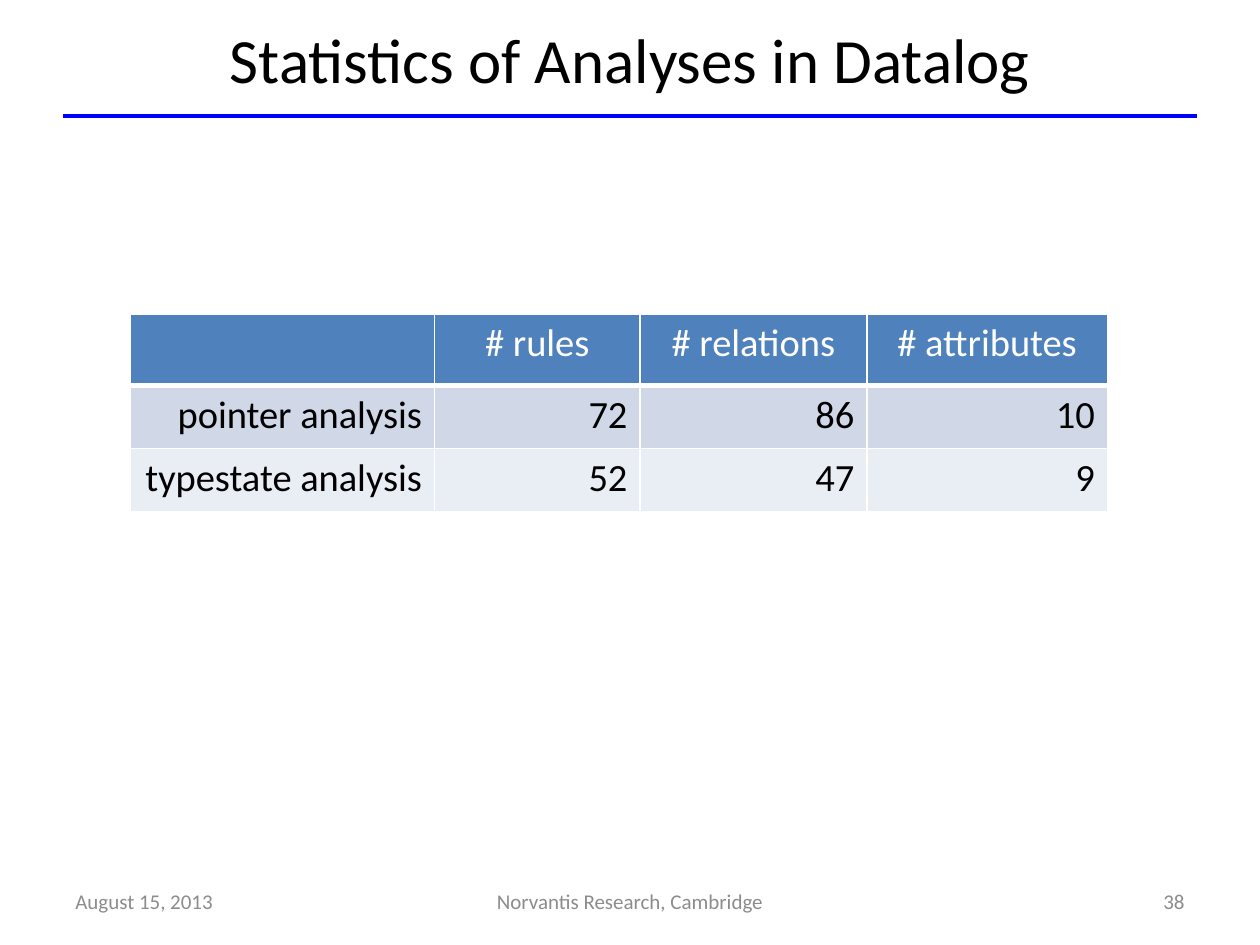
from lxml import etree
from pptx import Presentation
from pptx.dml.color import RGBColor
from pptx.enum.shapes import MSO_CONNECTOR
from pptx.enum.text import MSO_ANCHOR, PP_ALIGN
from pptx.oxml.ns import qn
from pptx.util import Inches, Pt

LEFT, CENTER, RIGHT = PP_ALIGN.LEFT, PP_ALIGN.CENTER, PP_ALIGN.RIGHT
MIDDLE = MSO_ANCHOR.MIDDLE
STRAIGHT = MSO_CONNECTOR.STRAIGHT

BLACK = RGBColor(0x00, 0x00, 0x00)
WHITE = RGBColor(0xFF, 0xFF, 0xFF)
GRAY = RGBColor(0x8C, 0x8C, 0x8C)
RULE_BLUE = RGBColor(0x00, 0x00, 0xFF)
HEADER_BLUE = RGBColor(0x4F, 0x81, 0xBD)
BANDS = [RGBColor(0xD0, 0xD8, 0xE8), RGBColor(0xE9, 0xED, 0xF4)]

FONT = "Calibri"
WIDTH, HEIGHT = 10, 7.5
MARGIN = 0.05 * WIDTH
CONTENT_W = WIDTH - 2 * MARGIN
TITLE_H = 0.92

COLUMNS = [2.42, 1.63, 1.8, 1.91]
ROWS = [0.57, 0.5, 0.5]
STATISTICS = [
    ["", "# rules", "# relations", "# attributes"],
    ["pointer analysis", "72", "86", "10"],
    ["typestate analysis", "52", "47", "9"],
]


def write(tf, text, size, color, align):
    p = tf.paragraphs[0]
    p.alignment = align
    r = p.add_run()
    r.text = text
    r.font.name = FONT
    r.font.size = Pt(size)
    r.font.color.rgb = color


def add_title(s, text):
    sp = s.shapes.title
    sp.left, sp.top = Inches(MARGIN), 0
    sp.width, sp.height = Inches(CONTENT_W), Inches(TITLE_H)
    sp.text_frame.vertical_anchor = MIDDLE
    write(sp.text_frame, text, 36, BLACK, CENTER)


def add_rule(s, y):
    line = s.shapes.add_connector(STRAIGHT, Inches(MARGIN), Inches(y),
                                  Inches(WIDTH - MARGIN), Inches(y))
    line.line.color.rgb = RULE_BLUE
    line.line.width = Pt(2.25)
    etree.SubElement(line._element.spPr, qn("a:effectLst"))


def add_footer(s, text, left, width, align):
    sp = s.shapes.add_textbox(Inches(left), Inches(6.95), Inches(width), Inches(0.4))
    tf = sp.text_frame
    tf.word_wrap = True
    tf.vertical_anchor = MIDDLE
    write(tf, text, 12, GRAY, align)


def set_borders(cell, top, bottom):
    tc_pr = cell._tc.get_or_add_tcPr()
    widths = {"a:lnL": 1, "a:lnR": 1, "a:lnT": top, "a:lnB": bottom}
    # Border lines come before the fill in the cell properties
    for i, (tag, width) in enumerate(widths.items()):
        ln = etree.Element(qn(tag), w=str(Pt(width)))
        fill = etree.SubElement(ln, qn("a:solidFill"))
        etree.SubElement(fill, qn("a:srgbClr"), val=str(WHITE))
        tc_pr.insert(i, ln)


def add_statistics_table(s, left, top):
    frame = s.shapes.add_table(len(ROWS), len(COLUMNS), Inches(left), Inches(top),
                               Inches(sum(COLUMNS)), Inches(sum(ROWS)))
    table = frame.table
    for column, width in zip(table.columns, COLUMNS):
        column.width = Inches(width)
    for row, height in zip(table.rows, ROWS):
        row.height = Inches(height)

    for i, values in enumerate(STATISTICS):
        header = i == 0
        for j, value in enumerate(values):
            cell = table.cell(i, j)
            cell.fill.solid()
            cell.fill.fore_color.rgb = HEADER_BLUE if header else BANDS[(i - 1) % 2]
            # The line under the header is thicker
            set_borders(cell, 3 if i == 1 else 1, 3 if header else 1)
            if value:
                write(cell.text_frame, value, 22, WHITE if header else BLACK,
                      CENTER if header else RIGHT)


def main():
    prs = Presentation()
    prs.slide_width, prs.slide_height = Inches(WIDTH), Inches(HEIGHT)
    s = prs.slides.add_slide(prs.slide_layouts[5])

    # Title with the rule below it
    add_rule(s, TITLE_H)
    add_title(s, "Statistics of Analyses in Datalog")

    # Table
    add_statistics_table(s, 1.03, 2.49)

    # Footer: date, venue, slide number
    side_w, middle_w = 2.33, 3.17
    add_footer(s, "August 15, 2013", MARGIN, side_w, LEFT)
    add_footer(s, "Norvantis Research, Cambridge", (WIDTH - middle_w) / 2, middle_w, CENTER)
    add_footer(s, "38", WIDTH - MARGIN - side_w, side_w, RIGHT)

    prs.save("out.pptx")


if __name__ == "__main__":
    main()
